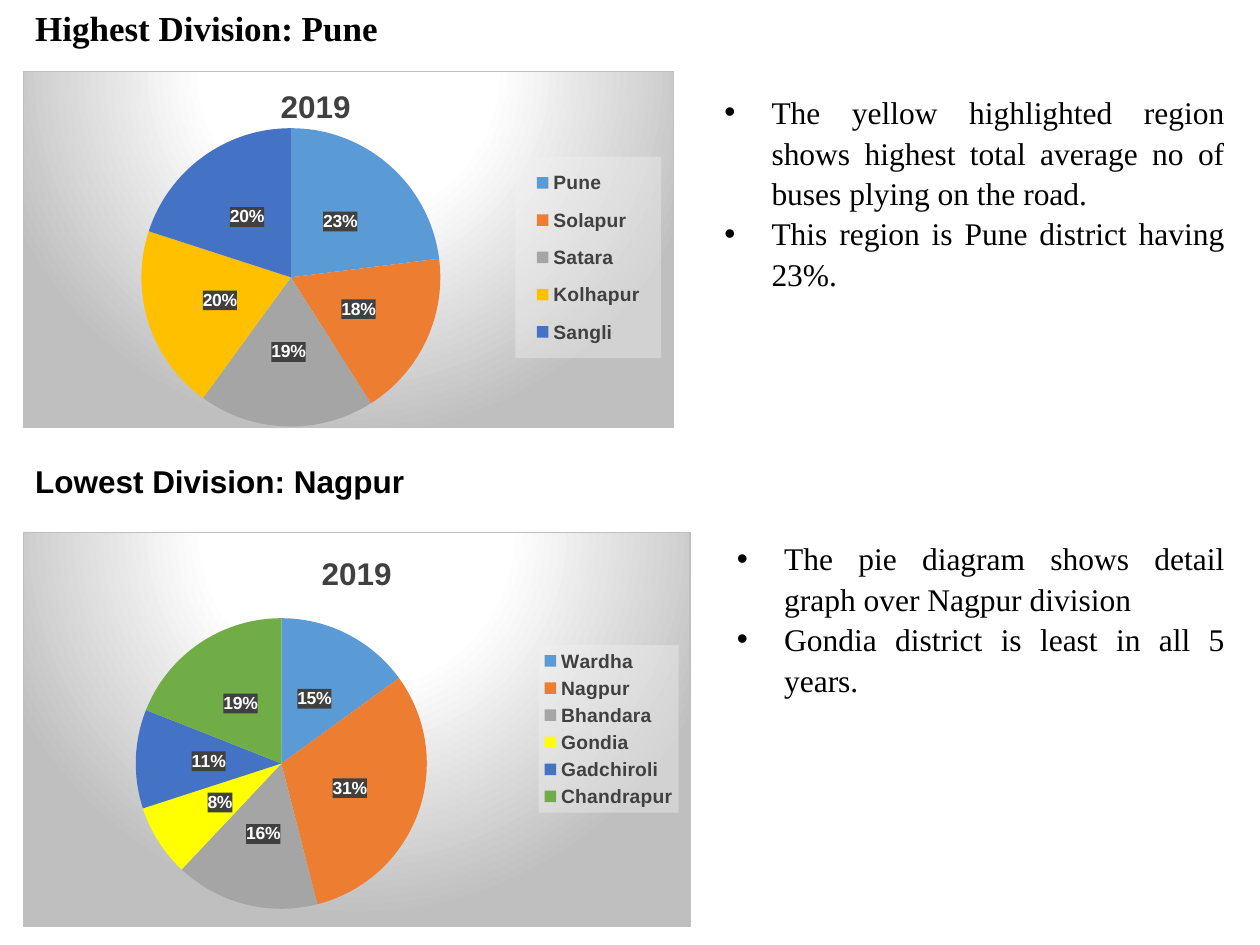
from lxml import etree
from pptx import Presentation
from pptx.chart.data import CategoryChartData
from pptx.dml.color import RGBColor
from pptx.enum.chart import XL_CHART_TYPE, XL_LABEL_POSITION, XL_LEGEND_POSITION
from pptx.enum.text import MSO_AUTO_SIZE, PP_ALIGN
from pptx.oxml import parse_xml
from pptx.oxml.ns import nsdecls, qn
from pptx.util import Pt

PIE = XL_CHART_TYPE.PIE
CENTER = XL_LABEL_POSITION.CENTER
RIGHT = XL_LEGEND_POSITION.RIGHT
JUSTIFY = PP_ALIGN.JUSTIFY
FIT_SHAPE = MSO_AUTO_SIZE.SHAPE_TO_FIT_TEXT

BLACK = RGBColor(0x00, 0x00, 0x00)
WHITE = RGBColor(0xFF, 0xFF, 0xFF)
CHARCOAL = RGBColor(0x40, 0x40, 0x40)
SILVER = RGBColor(0xBF, 0xBF, 0xBF)
PALE = RGBColor(0xF2, 0xF2, 0xF2)
BLUE = RGBColor(0x5B, 0x9B, 0xD5)
ORANGE = RGBColor(0xED, 0x7D, 0x31)
GRAY = RGBColor(0xA5, 0xA5, 0xA5)
GOLD = RGBColor(0xFF, 0xC0, 0x00)
YELLOW = RGBColor(0xFF, 0xFF, 0x00)
NAVY = RGBColor(0x44, 0x72, 0xC4)
GREEN = RGBColor(0x70, 0xAD, 0x47)

SERIF = "Times New Roman"
SANS = "Arial"


def style_font(font, name, size, color, bold=False):
    font.name = name
    font.size = Pt(size)
    font.bold = bold
    font.color.rgb = color


def add_text_box(slide, box):
    frame = slide.shapes.add_textbox(*map(Pt, box)).text_frame
    frame.word_wrap = True
    frame.auto_size = FIT_SHAPE
    return frame


def add_heading(slide, box, text, font_name, size):
    run = add_text_box(slide, box).paragraphs[0].add_run()
    run.text = text
    style_font(run.font, font_name, size, BLACK, True)


def add_bullets(slide, box, lines):
    frame = add_text_box(slide, box)
    for index, line in enumerate(lines):
        paragraph = frame.paragraphs[0] if index == 0 else frame.add_paragraph()
        paragraph.alignment = JUSTIFY
        paragraph.line_spacing = 1.07
        paragraph.space_after = Pt(8 if index == len(lines) - 1 else 0)
        properties = paragraph._p.get_or_add_pPr()
        properties.set("marL", str(Pt(27)))
        properties.set("indent", str(-Pt(27)))
        bullet_font = etree.SubElement(properties, qn("a:buFont"))
        bullet_font.set("typeface", SANS)
        etree.SubElement(properties, qn("a:buChar")).set("char", "•")
        run = paragraph.add_run()
        run.text = line
        style_font(run.font, SERIF, 18, BLACK)


def make_layout(position, target=""):
    modes = "".join(f'<c:{axis}Mode val="edge"/>' for axis in "xy")
    values = "".join(f'<c:{key} val="{value}"/>' for key, value in zip("xywh", position))
    return parse_xml(
        f'<c:layout {nsdecls("c")}><c:manualLayout>{target}{modes}{values}'
        "</c:manualLayout></c:layout>"
    )


def place_part(element, position, target=""):
    for old_layout in element.findall(qn("c:layout")):
        element.remove(old_layout)
    overlay = element.find(qn("c:overlay"))
    index = 0 if overlay is None else element.index(overlay)
    element.insert(index, make_layout(position, target))


def make_fill(color, alpha):
    return parse_xml(
        f'<c:spPr {nsdecls("c", "a")}><a:solidFill><a:srgbClr val="{color}">'
        f'<a:alpha val="{alpha * 1000}"/></a:srgbClr></a:solidFill></c:spPr>'
    )


def make_background():
    stops = "".join(
        f'<a:gs pos="{position * 1000}"><a:srgbClr val="{color}"/></a:gs>'
        for position, color in ((0, WHITE), (39, WHITE), (100, SILVER))
    )
    return parse_xml(
        f'<c:spPr {nsdecls("c", "a")}><a:gradFill><a:gsLst>{stops}</a:gsLst>'
        '<a:path path="circle"><a:fillToRect l="50000" t="-80000" r="50000" b="180000"/>'
        f'</a:path></a:gradFill><a:ln w="{Pt(0.75)}"><a:solidFill>'
        f'<a:srgbClr val="{SILVER}"/></a:solidFill></a:ln></c:spPr>'
    )


def add_pie(slide, box, slices, plot_box, legend_box, title_at=None):
    data = CategoryChartData()
    data.categories = [name for name, _, _ in slices]
    data.add_series("2019", [value for _, value, _ in slices])
    chart = slide.shapes.add_chart(PIE, *map(Pt, box), data).chart
    style_font(chart.font, SANS, 10, BLACK)
    space = chart._chartSpace
    space.find(qn("c:chart")).addnext(make_background())

    chart.has_title = True
    run = chart.chart_title.text_frame.paragraphs[0].add_run()
    run.text = "2019"
    style_font(run.font, SANS, 18, CHARCOAL, True)
    if title_at:
        place_part(chart.chart_title._element, title_at)

    chart.has_legend = True
    legend = chart.legend
    legend.position = RIGHT
    legend.include_in_layout = False
    style_font(legend.font, SANS, 11, CHARCOAL, True)
    place_part(legend._element, legend_box)
    legend._element.find(qn("c:overlay")).addnext(make_fill(PALE, 39))

    plot = chart.plots[0]
    plot.vary_by_categories = True
    place_part(space.find(".//" + qn("c:plotArea")), plot_box, '<c:layoutTarget val="inner"/>')
    series = plot.series[0]
    for index, (_, _, color) in enumerate(slices):
        fill = series.points[index].format.fill
        fill.solid()
        fill.fore_color.rgb = color

    labels = series.data_labels
    labels.show_value = False
    labels.show_percentage = True
    labels.number_format = "0%"
    labels.number_format_is_linked = False
    labels.position = CENTER
    style_font(labels.font, SANS, 10, WHITE, True)
    labels._element.find(qn("c:txPr")).addprevious(make_fill(CHARCOAL, 90))


def main():
    presentation = Presentation()
    presentation.slide_width = Pt(720)
    presentation.slide_height = Pt(540)
    slide = presentation.slides.add_slide(presentation.slide_layouts[6])

    add_heading(slide, (13, 0, 678, 48), "Highest Division: Pune", SERIF, 20)
    add_pie(
        slide, (13, 40.3, 372.2, 204.5),
        [("Pune", 23, BLUE), ("Solapur", 18, ORANGE), ("Satara", 19, GRAY),
         ("Kolhapur", 20, GOLD), ("Sangli", 20, NAVY)],
        plot_box=(0.014, 0.16, 0.795, 0.837),
        legend_box=(0.757, 0.24, 0.224, 0.565),
        title_at=(0.387, 0.025),
    )
    add_bullets(slide, (406.8, 48.2, 300.2, 149), [
        "The yellow highlighted region shows highest total average no of buses plying on the road.",
        "This region is Pune district having 23%.",
    ])

    add_heading(slide, (13, 260.6, 298.8, 28.8), "Lowest Division: Nagpur", SANS, 18)
    add_pie(
        slide, (13, 303.8, 381.6, 226.1),
        [("Wardha", 15, BLUE), ("Nagpur", 31, ORANGE), ("Bhandara", 16, GRAY),
         ("Gondia", 8, YELLOW), ("Gadchiroli", 11, NAVY), ("Chandrapur", 19, GREEN)],
        plot_box=(0.168, 0.218, 0.438, 0.737),
        legend_box=(0.773, 0.286, 0.21, 0.425),
    )
    add_bullets(slide, (414, 303.1, 293, 126), [
        "The pie diagram shows detail graph over Nagpur division",
        "Gondia district is least in all 5 years.",
    ])

    presentation.save("out.pptx")


if __name__ == "__main__":
    main()
